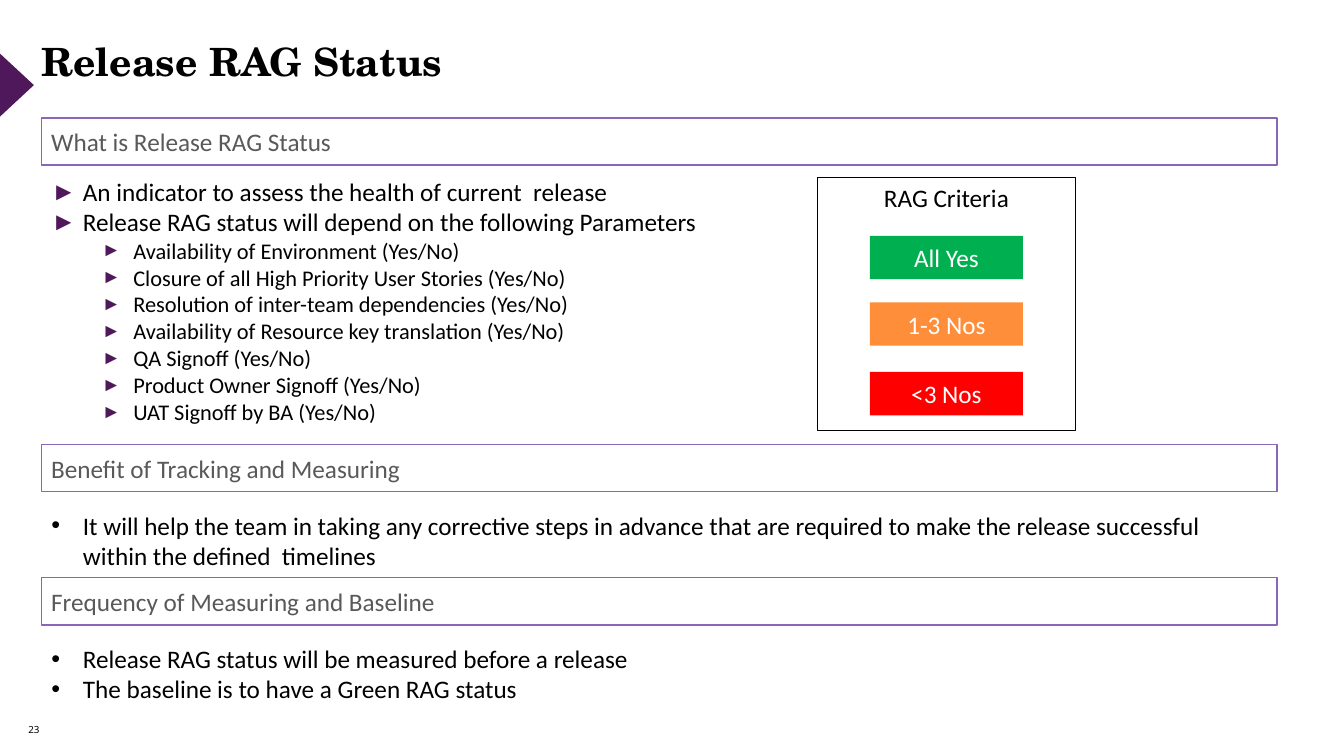
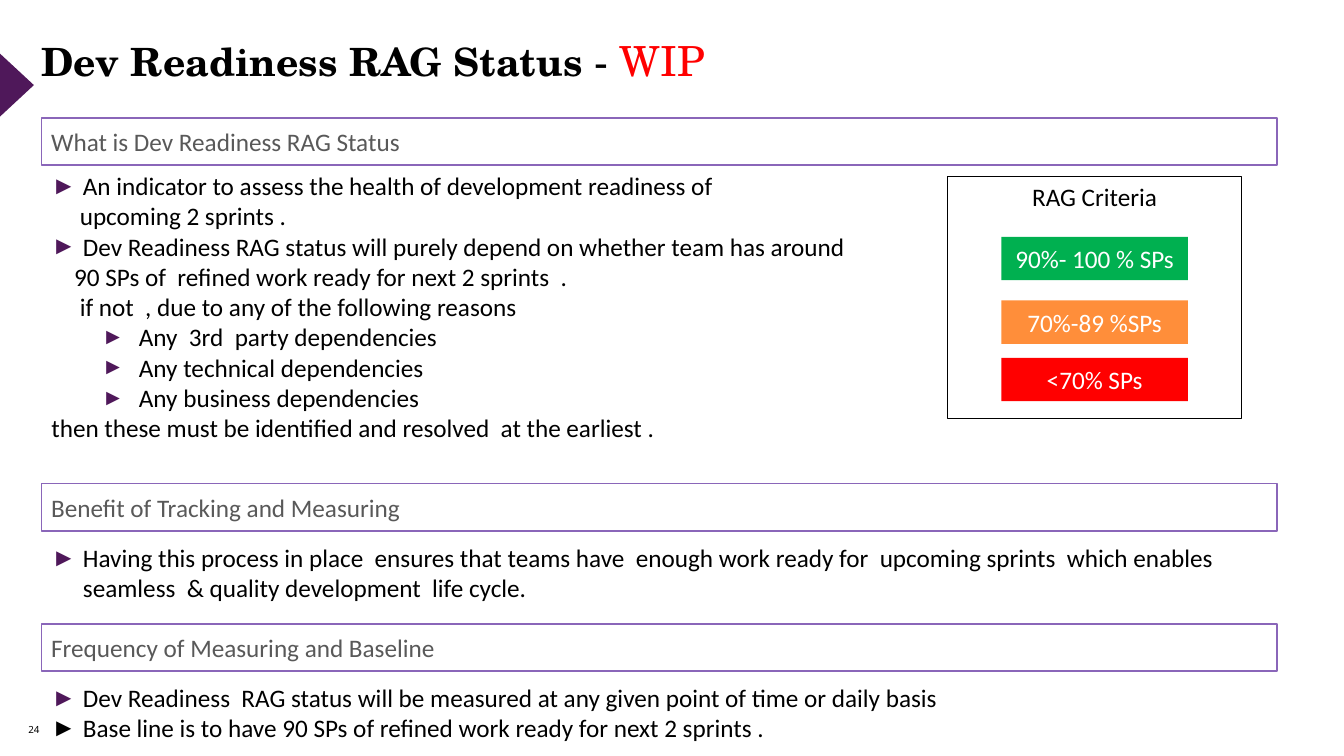
from pptx import Presentation
from pptx.dml.color import RGBColor
from pptx.enum.shapes import MSO_SHAPE
from pptx.enum.text import MSO_ANCHOR, MSO_AUTO_SIZE, PP_ALIGN
from pptx.oxml.ns import qn
from pptx.util import Pt
from lxml.etree import SubElement

# Shared look
BLACK, WHITE, RED = "000000", "FFFFFF", "FF0000"
PURPLE, BAND_LINE, BAND_TEXT = "4F185A", "8A66B9", "595959"
RAG_COLOURS = ["00B050", "FF8E3A", RED]
TITLE_FONT, TEXT_FONT, NUMBER_FONT = "TeX Gyre Schola", "Calibri", "Noto Sans"
LEFT, WIDTH, BAND_HEIGHT, CHIP_HEIGHT = 29.5, 882.7, 33.8, 31

# Paragraph styles: left margin, first-line indent, size, bullet, bullet colour, bullet %
STYLES = {
    "arrow": (22.5, -22.5, 18, "►", PURPLE, 100),
    "black arrow": (22.5, -22.5, 18, "►", BLACK, 100),
    "dot": (22.5, -22.5, 18, "•", BLACK, 100),
    "parameter": (58.5, -22.5, 16, "►", PURPLE, 86),
    "reason": (62.5, -26.5, 18, "►", PURPLE, 90),
    "continued": (20.3, 0, 18, None, None, None),
    "continued near": (16.3, 0, 18, None, None, None),
    "plain": (0, 0, 18, None, None, None),
}

# Content; each section is heading, band top, list top, list height, paragraphs
SLIDES = [
    {
        "number": "23", "title": "Release RAG Status", "flag": None,
        "sections": [
            ("What is Release RAG Status", 84.2, 122.4, 203.8, [
                ("arrow", "An indicator to assess the health of current  release"),
                ("arrow", "Release RAG status will depend on the following Parameters"),
                ("parameter", "Availability of Environment (Yes/No)"),
                ("parameter", "Closure of all High Priority User Stories (Yes/No)"),
                ("parameter", "Resolution of inter-team dependencies (Yes/No)"),
                ("parameter", "Availability of Resource key translation (Yes/No)"),
                ("parameter", "QA Signoff (Yes/No)"),
                ("parameter", "Product Owner Signoff (Yes/No)"),
                ("parameter", "UAT Signoff by BA (Yes/No)"),
            ]),
            ("Benefit of Tracking and Measuring", 317.5, 360.7, 51.1, [
                ("dot", "It will help the team in taking any corrective steps in advance that "
                        "are required to make the release successful within the defined  timelines"),
            ]),
            ("Frequency of Measuring and Baseline", 412.6, 455.8, 51.1, [
                ("dot", "Release RAG status will be measured before a release"),
                ("dot", "The baseline is to have a Green RAG status"),
            ]),
        ],
        "criteria_box": (583.9, 126.7, 184.3, 180.7),
        "chip_width": 109.4,
        "criteria": [("All Yes", 168.5), ("1-3 Nos", 216), ("<3 Nos", 265.7)],
    },
    {
        "number": "24", "title": "Dev Readiness RAG Status", "flag": "WIP",
        "sections": [
            ("What is Dev Readiness RAG Status", 84.2, 118.1, 203.8, [
                ("arrow", "An indicator to assess the health of development readiness of"),
                ("continued", "upcoming 2 sprints ."),
                ("arrow", "Dev Readiness RAG status will purely depend on whether team has around"),
                ("continued near", "90 SPs of  refined work ready for next 2 sprints  ."),
                ("continued", "if not  , due to any of the following reasons"),
                ("reason", "Any  3rd  party dependencies"),
                ("reason", "Any technical dependencies"),
                ("reason", "Any business dependencies"),
                ("plain", "then these must be identified and resolved  at the earliest ."),
            ]),
            ("Benefit of Tracking and Measuring", 345.6, 383.8, 51.1, [
                ("arrow", "Having this process in place  ensures that teams have  enough work "
                          "ready for  upcoming sprints  which enables seamless  & quality "
                          "development  life cycle."),
            ]),
            ("Frequency of Measuring and Baseline", 445.7, 483.8, 51.1, [
                ("arrow", "Dev Readiness  RAG status will be measured at any given point of "
                          "time or daily basis"),
                ("black arrow", "Base line is to have 90 SPs of refined work ready for next 2 sprints ."),
            ]),
        ],
        "criteria_box": (676.8, 126, 210.2, 172.8),
        "chip_width": 133.2,
        "criteria": [("90%- 100 % SPs", 169.2), ("70%-89 %SPs", 214.6), ("<70% SPs", 255.6)],
    },
]


def rgb(colour):
    return RGBColor.from_string(colour)


def style_font(font, size, colour, name=TEXT_FONT, bold=False):
    font.size, font.name, font.bold = Pt(size), name, bold
    font.color.rgb = rgb(colour)


def place(item, left, top, width, height):
    item.left, item.top, item.width, item.height = map(Pt, (left, top, width, height))


def set_frame(frame, anchor, inset=None):
    frame.word_wrap = True
    frame.auto_size = MSO_AUTO_SIZE.NONE
    frame.vertical_anchor = anchor
    if inset is not None:
        frame.margin_left = frame.margin_right = Pt(inset)
        frame.margin_top = frame.margin_bottom = Pt(inset)


def add_box(slide, bounds, fill=None, line=None, text="", colour=BLACK,
            align=PP_ALIGN.CENTER, anchor=MSO_ANCHOR.MIDDLE, preset=MSO_SHAPE.RECTANGLE):
    box = slide.shapes.add_shape(preset, *map(Pt, bounds))
    box.shadow.inherit = False
    if fill:
        box.fill.solid()
        box.fill.fore_color.rgb = rgb(fill)
    else:
        box.fill.background()
    if line:
        box.line.color.rgb = rgb(line)
        box.line.width = Pt(1)
    else:
        box.line.fill.background()
    if text:
        set_frame(box.text_frame, anchor)
        box.text_frame.text = text
        paragraph = box.text_frame.paragraphs[0]
        paragraph.alignment = align
        style_font(paragraph.runs[0].font, 18, colour)
    return box


def set_bullet(paragraph, margin, indent, bullet, colour, percent):
    properties = paragraph._p.get_or_add_pPr()
    properties.set("marL", str(int(Pt(margin))))
    properties.set("indent", str(int(Pt(indent))))
    if not bullet:
        SubElement(properties, qn("a:buNone"))
        return
    bullet_colour = SubElement(properties, qn("a:buClr"))
    SubElement(bullet_colour, qn("a:srgbClr"), val=colour)
    SubElement(properties, qn("a:buSzPct"), val=str(percent * 1000))
    SubElement(properties, qn("a:buFont"), typeface="Arial")
    SubElement(properties, qn("a:buChar"), char=bullet)


def fill_list(body, top, height, items):
    place(body, LEFT, top, WIDTH, height)
    frame = body.text_frame
    set_frame(frame, MSO_ANCHOR.TOP)
    frame.text = "\n".join(text for _, text in items)
    for paragraph, (style, _) in zip(frame.paragraphs, items):
        margin, indent, size, bullet, colour, percent = STYLES[style]
        paragraph.level = 1 if style in ("parameter", "reason") else 0
        paragraph.line_spacing = 1.0
        paragraph.space_before = paragraph.space_after = Pt(0)
        set_bullet(paragraph, margin, indent, bullet, colour, percent)
        style_font(paragraph.runs[0].font, size, BLACK)


def fill_title(title, words, flag):
    place(title, LEFT, 28.8, 776.2, 33.8)
    set_frame(title.text_frame, MSO_ANCHOR.TOP, 0)
    paragraph = title.text_frame.paragraphs[0]
    paragraph.alignment = PP_ALIGN.LEFT
    paragraph.line_spacing = 0.9
    # Bold words with larger regular spaces between them
    pieces = []
    for word in words.split():
        pieces += [(" ", 29.6, BLACK, False), (word, 27.8, BLACK, True)]
    pieces = pieces[1:]
    if flag:
        pieces += [(" - ", 29.6, BLACK, False), (flag, 29.6, RED, False)]
    for text, size, colour, bold in pieces:
        run = paragraph.add_run()
        run.text = text
        style_font(run.font, size, colour, TITLE_FONT, bold)


def add_edge_marks(slide, number):
    marker = add_box(slide, (-11.8, 48.2, 46.8, 25.2), PURPLE,
                     preset=MSO_SHAPE.ISOSCELES_TRIANGLE)
    marker.rotation = 90
    page = slide.shapes.add_textbox(*map(Pt, (20.2, 506.9, 32.4, 28.8)))
    set_frame(page.text_frame, MSO_ANCHOR.MIDDLE, 0)
    page.text_frame.text = number
    style_font(page.text_frame.paragraphs[0].runs[0].font, 7, BLACK, NUMBER_FONT)


def add_criteria(slide, bounds, chip_width, criteria):
    add_box(slide, bounds, line=BLACK, text="RAG Criteria", anchor=MSO_ANCHOR.TOP)
    chip_left = bounds[0] + (bounds[2] - chip_width) / 2
    for (label, top), colour in zip(criteria, RAG_COLOURS):
        add_box(slide, (chip_left, top, chip_width, CHIP_HEIGHT), colour,
                text=label, colour=WHITE)


def build_slide(deck, content):
    # The Comparison layout has four bodies; the three sections use the last three
    slide = deck.slides.add_slide(deck.slide_layouts[4])
    spare, *bodies = list(slide.placeholders)[1:]
    spare.element.getparent().remove(spare.element)
    add_edge_marks(slide, content["number"])
    fill_title(slide.shapes.title, content["title"], content["flag"])
    for body, (heading, band_top, list_top, height, items) in zip(bodies, content["sections"]):
        add_box(slide, (LEFT, band_top, WIDTH, BAND_HEIGHT), WHITE, BAND_LINE,
                heading, BAND_TEXT, PP_ALIGN.LEFT)
        fill_list(body, list_top, height, items)
    add_criteria(slide, content["criteria_box"], content["chip_width"], content["criteria"])


def main():
    deck = Presentation()
    deck.slide_width, deck.slide_height = Pt(960), Pt(540)
    for content in SLIDES:
        build_slide(deck, content)
    deck.save("out.pptx")


if __name__ == "__main__":
    main()
